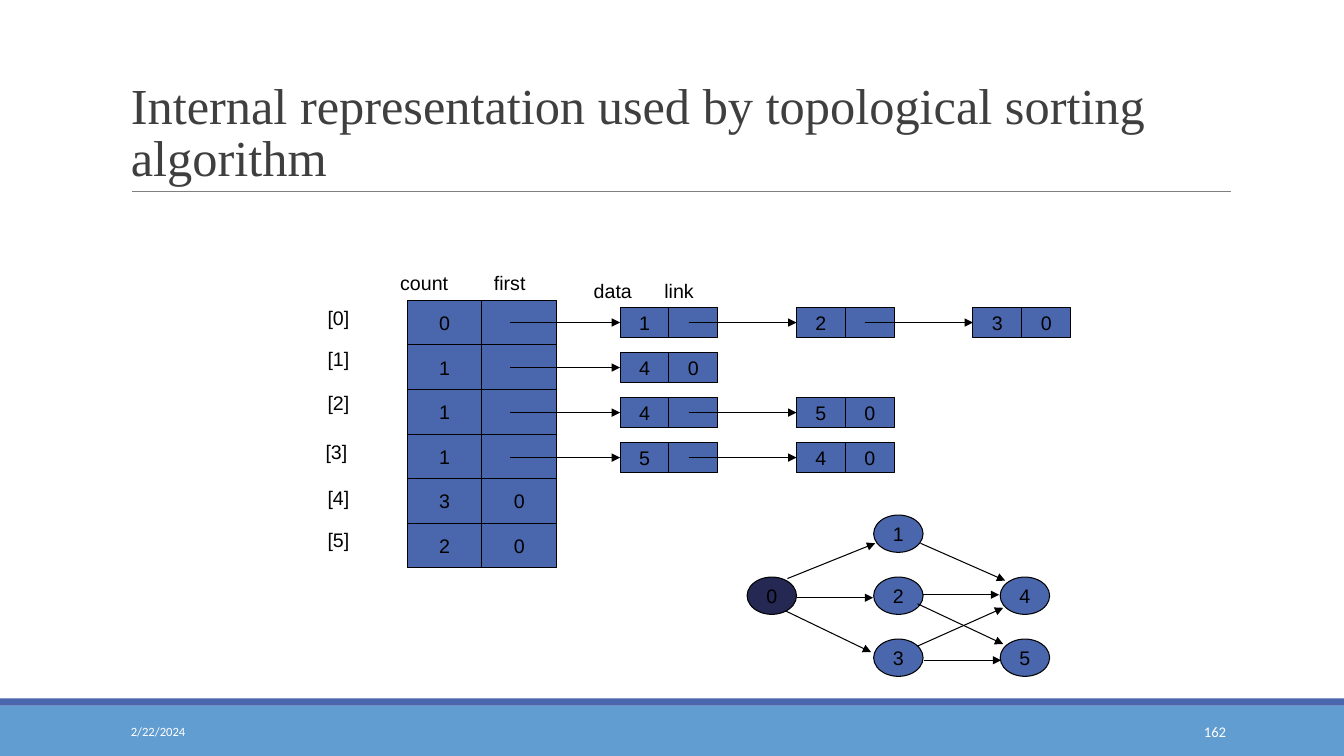
from dataclasses import dataclass

from lxml.etree import SubElement
from pptx import Presentation
from pptx.dml.color import RGBColor
from pptx.enum.shapes import MSO_CONNECTOR as Connector, MSO_SHAPE as Shape
from pptx.enum.text import MSO_ANCHOR as Anchor, PP_ALIGN as Align
from pptx.oxml.ns import qn
from pptx.util import Inches, Pt


@dataclass(frozen=True)
class Theme:
    blue: str = "4A66AC"
    sky: str = "629DD1"
    navy: str = "242852"
    black: str = "000000"
    white: str = "FFFFFF"
    title_ink: str = "3F3F3F"
    rule: str = "7F7F7F"
    title_font: str = "Times New Roman"
    body_font: str = "Arial"
    footer_font: str = "Calibri"
    title_size: float = 36
    body_size: float = 14
    date_size: float = 9
    number_size: float = 10.5
    line_width: float = 0.75


@dataclass(frozen=True)
class Grid:
    left: float
    top: float
    column: float
    row: float

    def at(self, column, row):
        return self.left + column * self.column, self.top + row * self.row


THEME = Theme()
WIDTH, HEIGHT = 13.33, 7.5
HEADERS = Grid(4.04, 2.98, 0.74, 0.4425)
LISTS = Grid(6.15, 3.05, 1.75, 0.4467)
GRAPH = Grid(7.41, 5.11, 1.255, 0.615)
CELL_WIDTH, CELL_HEIGHT = 0.485, 0.3
VERTEX_WIDTH, VERTEX_HEIGHT = 0.49, 0.37

COUNTS = "011132"
CHAINS = ["123", "4", "45", "54", "", ""]
INDEX_TOPS = [2.99, 3.39, 3.83, 4.32, 4.77, 5.19]
HEADINGS = [("count", 3.87, 2.64), ("first", 4.8, 2.64),
            ("data", 5.79, 2.72), ("link", 6.49, 2.72)]
VERTICES = [(0, 1), (1, 0), (1, 1), (1, 2), (2, 1), (2, 2)]
EDGES = [
    ((7.81, 5.74), (8.68, 5.39)),
    ((7.9, 5.93), (8.66, 5.93)),
    ((7.79, 6.06), (8.64, 6.47)),
    ((9.15, 5.9), (9.91, 5.9)),
    ((9.16, 6.55), (9.93, 6.55)),
    ((9.13, 5.39), (9.97, 5.76)),
    ((9.1, 5.99), (9.95, 6.39)),
    ((9.1, 6.41), (9.95, 6.03)),
]


def color(value):
    return RGBColor.from_string(value)


def write(shape, text, size=THEME.body_size, font=THEME.body_font,
          ink=THEME.black, align=Align.LEFT, anchor=Anchor.MIDDLE):
    frame = shape.text_frame
    frame.word_wrap = True
    frame.vertical_anchor = anchor
    paragraph = frame.paragraphs[0]
    paragraph.text = text
    paragraph.alignment = align
    paragraph.font.size = Pt(size)
    paragraph.font.name = font
    paragraph.font.color.rgb = color(ink)
    return paragraph


def add_text(slide, box, text, **style):
    shape = slide.shapes.add_textbox(*map(Inches, box))
    return write(shape, text, **style)


def add_label(slide, left, top, text):
    shape = slide.shapes.add_textbox(*map(Inches, (left, top, 0.68, 0.34)))
    shape.text_frame.margin_right = 0
    write(shape, text, anchor=Anchor.TOP)


def add_block(slide, box, fill, kind=Shape.RECTANGLE):
    shape = slide.shapes.add_shape(kind, *map(Inches, box))
    shape.shadow.inherit = False
    shape.fill.solid()
    shape.fill.fore_color.rgb = color(fill)
    shape.line.fill.background()
    return shape


def add_cell(slide, box, text="", fill=THEME.blue, kind=Shape.RECTANGLE):
    shape = add_block(slide, box, fill, kind)
    shape.line.color.rgb = color(THEME.black)
    shape.line.width = Pt(THEME.line_width)
    if text:
        write(shape, text, align=Align.CENTER)


def add_line(slide, start, end, ink):
    line = slide.shapes.add_connector(Connector.STRAIGHT, *map(Inches, (*start, *end)))
    line.line.color.rgb = color(ink)
    line.line.width = Pt(THEME.line_width)
    SubElement(line._element.spPr, qn("a:effectLst"))
    return line


def add_arrow(slide, start, end):
    arrow = add_line(slide, start, end, THEME.black)
    SubElement(arrow.line._get_or_add_ln(), qn("a:tailEnd"), type="triangle")


def add_frame(slide):
    add_block(slide, (0, 7, WIDTH, 0.5), THEME.sky)
    add_block(slide, (0, 6.93, WIDTH, 0.07), THEME.blue)
    add_line(slide, (1.31, 1.9), (12.21, 1.9), THEME.rule)
    title = add_text(slide, (1.2, 0.31, 11, 1.59),
                     "Internal representation used by topological sorting algorithm",
                     size=THEME.title_size, font=THEME.title_font,
                     ink=THEME.title_ink, anchor=Anchor.BOTTOM)
    title.line_spacing = 0.85
    footer = {"font": THEME.footer_font, "ink": THEME.white}
    add_text(slide, (1.2, 7.06, 2.7, 0.4), "2/22/2024", size=THEME.date_size, **footer)
    add_text(slide, (10.83, 7.06, 1.43, 0.4), "162", size=THEME.number_size,
             align=Align.RIGHT, **footer)


def add_headers(slide):
    for row, (count, chain) in enumerate(zip(COUNTS, CHAINS)):
        for column, text in enumerate((count, "" if chain else "0")):
            box = (*HEADERS.at(column, row), HEADERS.column, HEADERS.row)
            add_cell(slide, box, text)
        add_label(slide, 3.13 if row == 3 else 3.15, INDEX_TOPS[row], f"[{row}]")
    for text, left, top in HEADINGS:
        add_label(slide, left, top, text)


def add_chain(slide, row, chain):
    pointer = 5.06
    for column, data in enumerate(chain):
        left, top = LISTS.at(column, row)
        link = "0" if column == len(chain) - 1 else ""
        for part, text in enumerate((data, link)):
            add_cell(slide, (left + part * CELL_WIDTH, top, CELL_WIDTH, CELL_HEIGHT), text)
        middle = top + CELL_HEIGHT / 2
        add_arrow(slide, (pointer, middle), (left, middle))
        pointer = left + 1.4 * CELL_WIDTH


def add_graph(slide):
    for number, (column, row) in enumerate(VERTICES):
        box = (*GRAPH.at(column, row), VERTEX_WIDTH, VERTEX_HEIGHT)
        fill = THEME.blue if number else THEME.navy
        add_cell(slide, box, str(number), fill, Shape.OVAL)
    for start, end in EDGES:
        add_arrow(slide, start, end)


def main():
    presentation = Presentation()
    presentation.slide_width = Inches(WIDTH)
    presentation.slide_height = Inches(HEIGHT)
    slide = presentation.slides.add_slide(presentation.slide_layouts[6])
    add_frame(slide)
    add_headers(slide)
    for row, chain in enumerate(CHAINS):
        add_chain(slide, row, chain)
    add_graph(slide)
    presentation.save("out.pptx")


if __name__ == "__main__":
    main()
